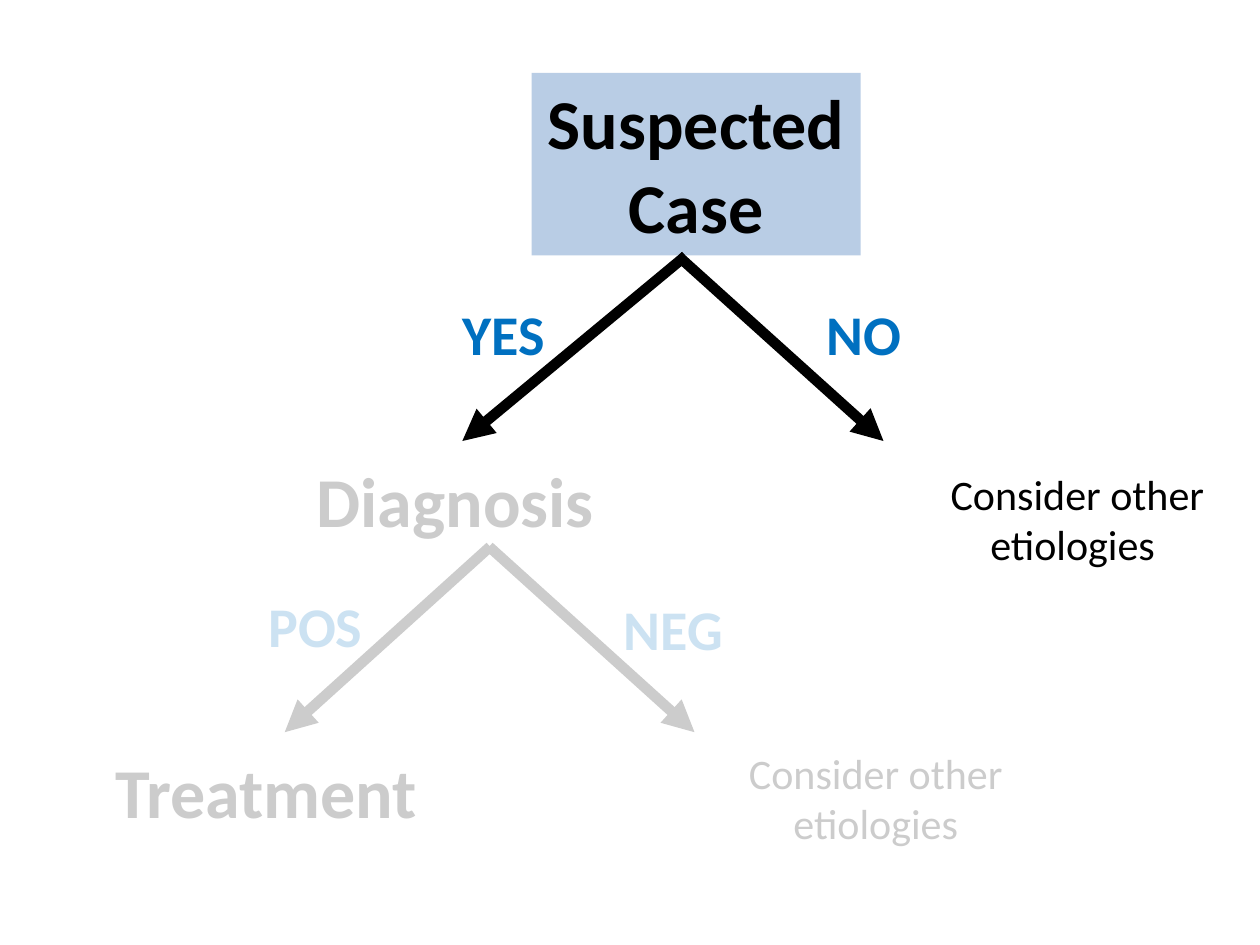
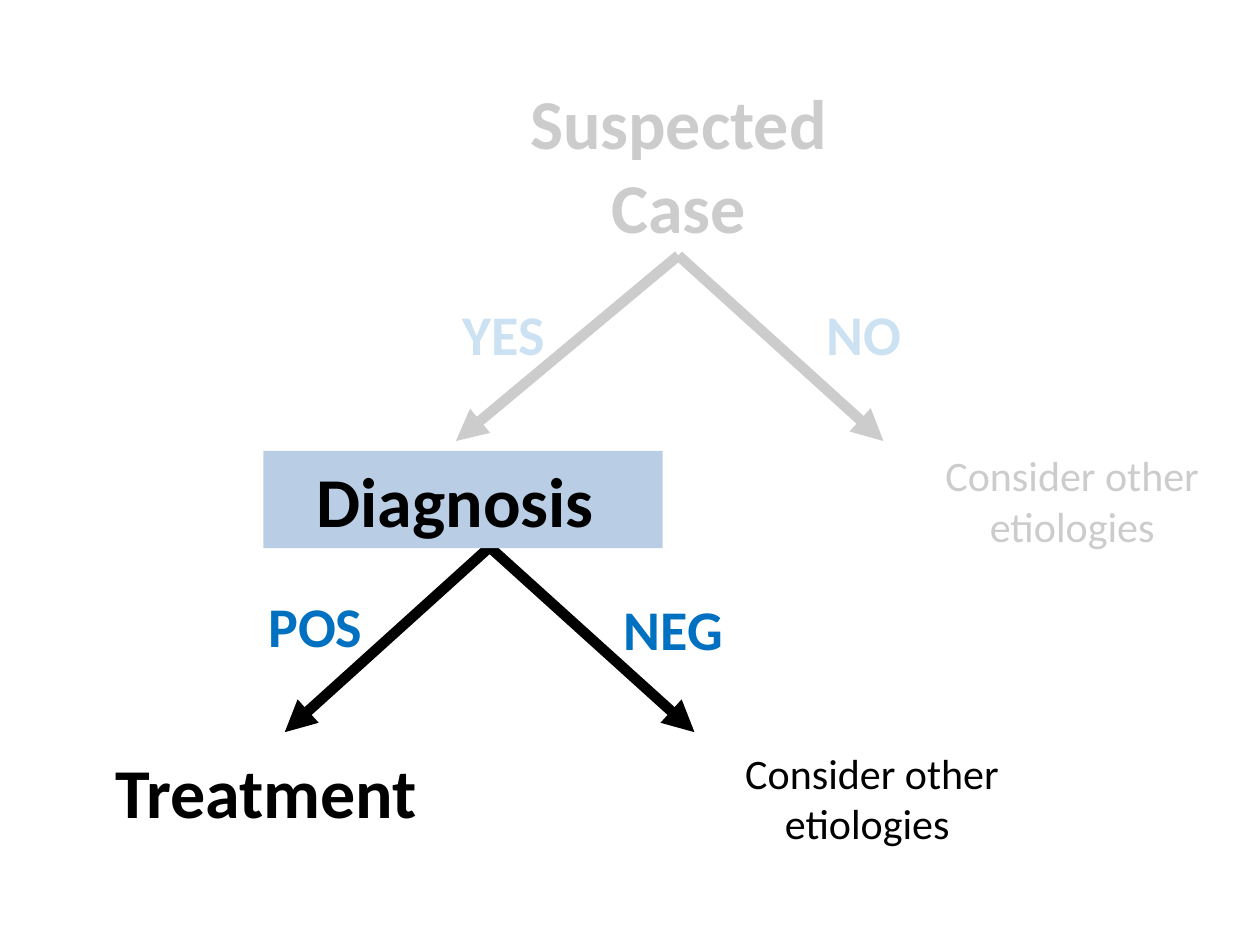
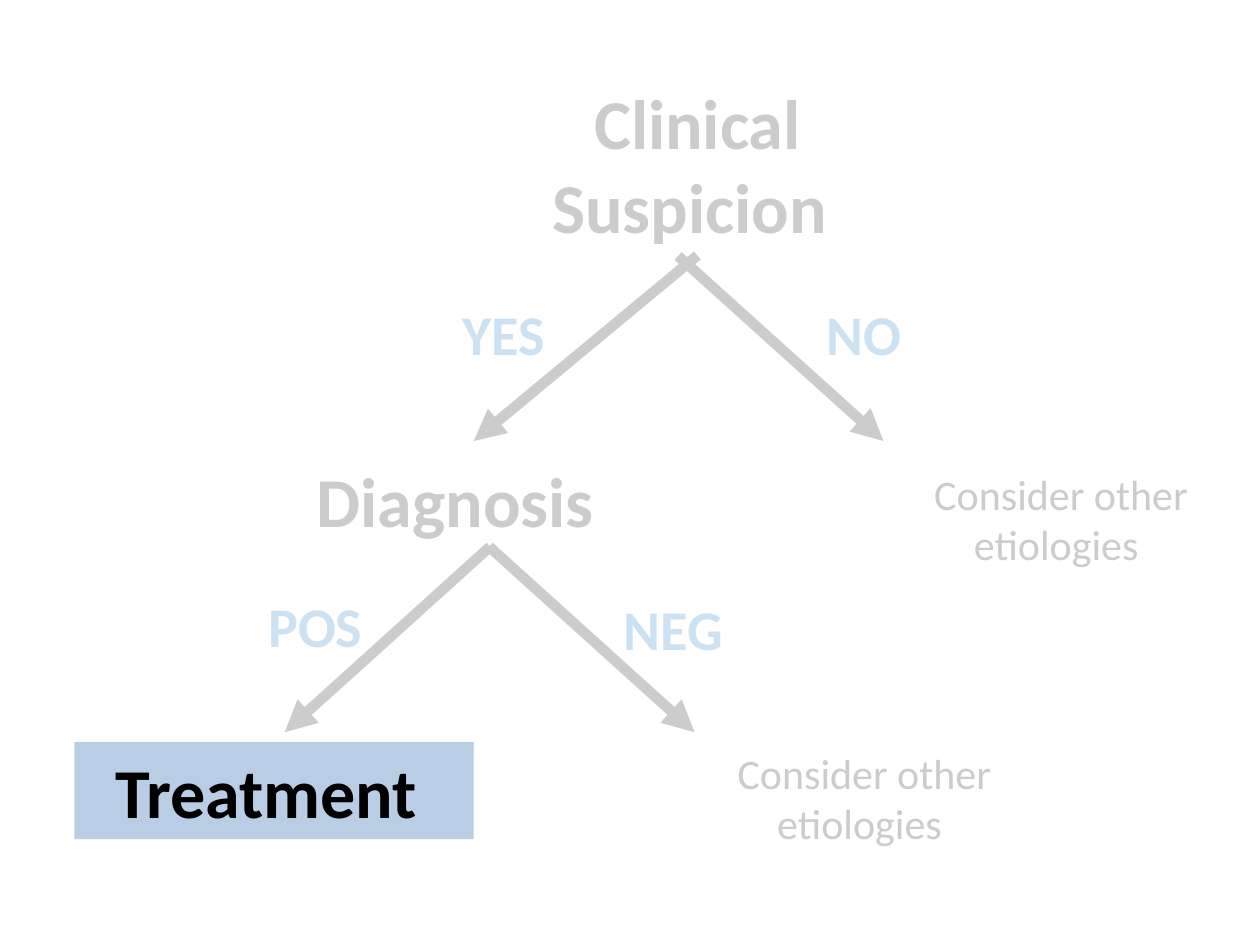
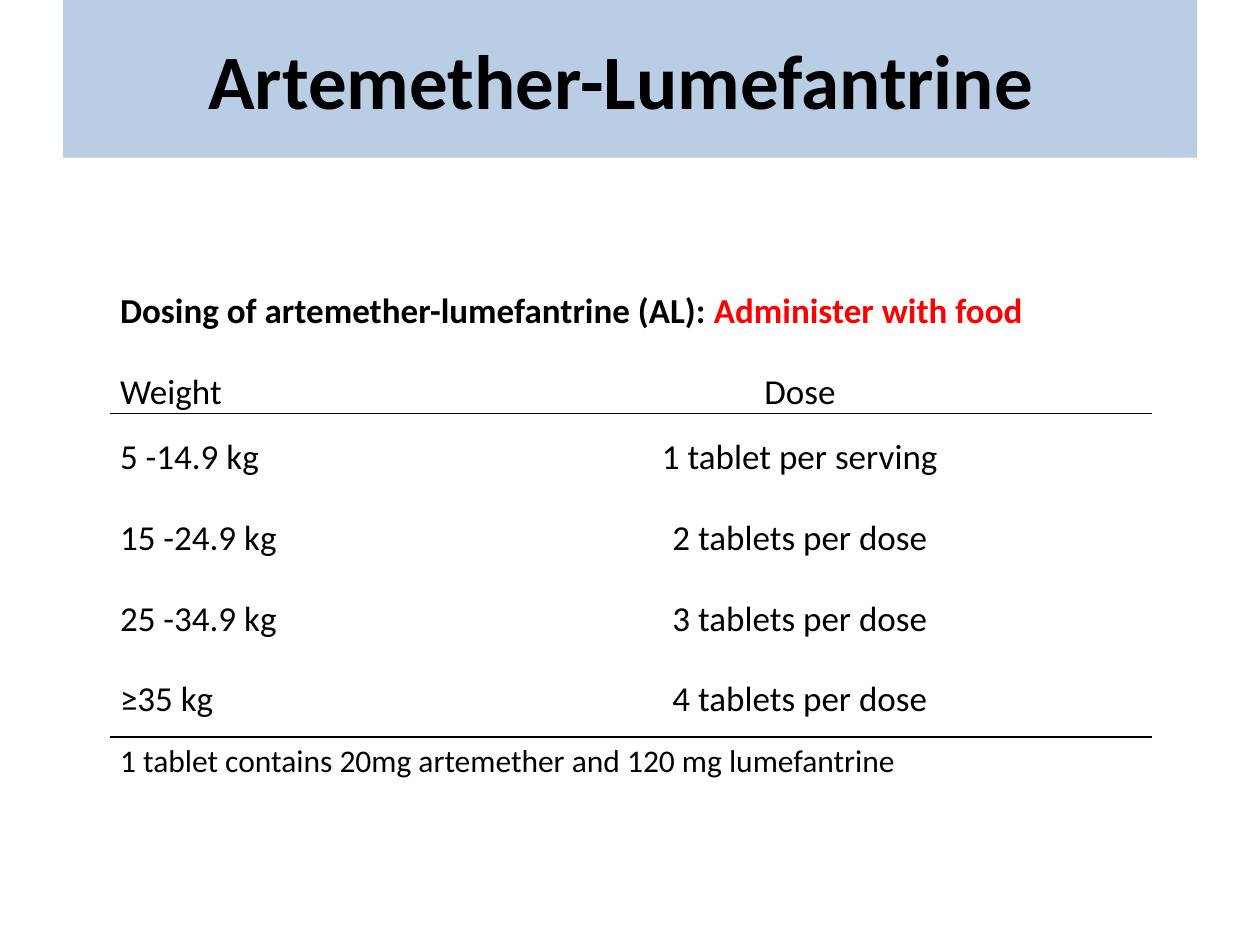
from dataclasses import dataclass

from lxml import etree
from pptx import Presentation
from pptx import util as u
from pptx.dml.color import RGBColor
from pptx.enum import shapes, text
from pptx.oxml import ns

Cm, Pt = u.Cm, u.Pt
COLORS = {"ink": "000000", "band": "B9CDE5", "answer": "0070C0",
          "alert": "FF0000", "veil": "FFFFFF"}
FONT = "Calibri"
VEIL_OPACITY = 80000
TITLE_ONLY, BLANK = 5, 6
CENTER = text.PP_ALIGN.CENTER
MIDDLE, BOTTOM, TOP = (text.MSO_ANCHOR.MIDDLE, text.MSO_ANCHOR.BOTTOM,
                       text.MSO_ANCHOR.TOP)


@dataclass(frozen=True)
class Box:
    """A rectangle in centimetres."""
    left: float
    top: float
    width: float
    height: float

    def lengths(self) -> list:
        return [Cm(v) for v in (self.left, self.top, self.width, self.height)]


@dataclass(frozen=True)
class Label:
    wording: str
    box: Box
    size: int = 40
    bold: bool = True
    color: str = "ink"


@dataclass(frozen=True)
class Arrow:
    x1: float
    y1: float
    x2: float
    y2: float


@dataclass(frozen=True)
class Stage:
    """One step of the decision tree, with the parts that are not in focus veiled."""
    focus: str
    root: Label
    yes_arrow: Arrow
    joined: tuple
    others: tuple
    veils: tuple


def answer(wording: str, left: float, top: float) -> Label:
    return Label(wording, Box(left, top, 2.92, 1.63), 32, color="answer")


def other_causes(left: float, top: float, right: float, ending: str = " ") -> Label:
    box = Box(left, top, round(right - left, 2), 2.31)
    return Label("Consider other etiologies" + ending, box, 24, bold=False)


UPPER_RIGHT, LOWER_RIGHT, LOWER_TOP = 25.63, 21.49, 14.94
DIAGNOSIS = Label("Diagnosis ", Box(5.31, 9.09, 8.05, 1.96))
TREATMENT = Label("Treatment ", Box(1.5, 14.96, 8.05, 1.96))
ANSWERS = (answer("YES", 8.69, 5.92), answer("NO", 15.95, 5.92),
           answer("POS", 4.9, 11.79), answer("NEG", 12.12, 11.86))
NO_ARROW = Arrow(13.67, 5.16, 17.81, 8.89)
RESULT_ARROWS = (Arrow(9.88, 11.02, 5.74, 14.76), Arrow(9.86, 11.02, 14, 14.76))

STAGES = (
    Stage("Suspected Case",
          Label("Suspected Case", Box(10.72, 1.47, 6.63, 3.68)),
          Arrow(13.82, 5.16, 9.32, 8.89), (),
          (other_causes(17.81, 9.32, UPPER_RIGHT),
           other_causes(13.82, LOWER_TOP, LOWER_RIGHT, ending="")),
          (Box(1.07, 9.32, 13.97, 8.26), Box(15.04, 13.94, 8.15, 4.29))),
    Stage("Diagnosis ",
          Label("Suspected Case", Box(10.36, 1.47, 6.63, 3.68)),
          Arrow(13.69, 5.16, 9.19, 8.89), ("yes", "no"),
          (other_causes(17.6, 8.94, UPPER_RIGHT, ending=""),
           other_causes(13.67, LOWER_TOP, LOWER_RIGHT)),
          (Box(2.57, -0.05, 16.31, 9.02), Box(18.34, 8.86, 6.25, 2.82))),
    Stage("Treatment ",
          Label("Clinical Suspicion ", Box(10.72, 1.47, 6.68, 3.68)),
          Arrow(14.07, 5.16, 9.55, 8.89), ("yes",),
          (other_causes(17.15, 9.32, UPPER_RIGHT),
           other_causes(13.36, LOWER_TOP, LOWER_RIGHT)),
          (Box(2.9, 1.52, 21.34, 13.31), Box(14.33, 14.96, 6.93, 3.2))),
)

DOSES = (("Weight", "Dose"),
         ("5 -14.9 kg", "1 tablet per serving"),
         ("15 -24.9 kg", "2 tablets per dose"),
         ("25 -34.9 kg", "3 tablets per dose"),
         ("≥35 kg", "4 tablets per dose"))


def rgb(name: str) -> RGBColor:
    return RGBColor.from_string(COLORS[name])


def put_text(frame, wording: str, *, size: int, bold: bool = False,
             color: str = "ink", align=None, spacing=None) -> None:
    """Append one formatted run to the frame's first paragraph."""
    paragraph = frame.paragraphs[0]
    paragraph.alignment = align
    paragraph.line_spacing = spacing
    run = paragraph.add_run()
    run.text = wording
    run.font.name, run.font.size, run.font.bold = FONT, Pt(size), bold
    run.font.color.rgb = rgb(color)


def fill_solid(shape, color: str) -> None:
    shape.fill.solid()
    shape.fill.fore_color.rgb = rgb(color)


def add_rectangle(slide, box: Box, color: str):
    rectangle = slide.shapes.add_shape(shapes.MSO_SHAPE.RECTANGLE, *box.lengths())
    rectangle.shadow.inherit = False
    fill_solid(rectangle, color)
    rectangle.line.fill.background()
    return rectangle


def add_label(slide, label: Label, focused: bool = False):
    if focused:
        holder = add_rectangle(slide, label.box, "band")
    else:
        holder = slide.shapes.add_textbox(*label.box.lengths())
    frame = holder.text_frame
    frame.word_wrap = True
    frame.auto_size = text.MSO_AUTO_SIZE.SHAPE_TO_FIT_TEXT
    frame.vertical_anchor = TOP
    put_text(frame, label.wording, size=label.size, bold=label.bold,
             color=label.color, align=CENTER)
    return holder


def add_arrow(slide, arrow: Arrow, source=None) -> None:
    ends = [Cm(v) for v in (arrow.x1, arrow.y1, arrow.x2, arrow.y2)]
    connector = slide.shapes.add_connector(shapes.MSO_CONNECTOR.STRAIGHT, *ends)
    connector.line.color.rgb = rgb("ink")
    connector.line.width = Pt(6)
    etree.SubElement(connector.line._get_or_add_ln(), ns.qn("a:tailEnd"),
                     type="triangle")
    etree.SubElement(connector._element.spPr, ns.qn("a:effectLst"))
    if source is not None:
        connector.begin_connect(source, 2)


def add_veil(slide, box: Box) -> None:
    """Fade what lies below with a translucent white rectangle."""
    veil = add_rectangle(slide, box, "veil")
    veil.line.color.rgb = rgb("veil")
    veil.line.width = Pt(2)
    tint = veil._element.spPr.find(ns.qn("a:solidFill"))[0]
    etree.SubElement(tint, ns.qn("a:alpha"), val=str(VEIL_OPACITY))


def add_stage_slide(deck, stage: Stage) -> None:
    slide = deck.slides.add_slide(deck.slide_layouts[BLANK])
    root = add_label(slide, stage.root, stage.root.wording == stage.focus)
    for name, arrow in (("yes", stage.yes_arrow), ("no", NO_ARROW)):
        add_arrow(slide, arrow, root if name in stage.joined else None)
    for arrow in RESULT_ARROWS:
        add_arrow(slide, arrow)
    for label in (*ANSWERS, *stage.others, TREATMENT, DIAGNOSIS):
        add_label(slide, label, label.wording == stage.focus)
    for box in stage.veils:
        add_veil(slide, box)


def format_cell(cell, anchor, rule: str = "") -> None:
    """Clear the cell's fill and draw a rule on its side T or B."""
    cell.vertical_anchor = anchor
    cell.margin_left = cell.margin_right = Cm(0.18)
    cell.margin_top = cell.margin_bottom = 0
    if rule:
        border = etree.SubElement(cell._tc.get_or_add_tcPr(), ns.qn(f"a:ln{rule}"),
                                  w=str(Pt(1)))
        solid = etree.SubElement(border, ns.qn("a:solidFill"))
        etree.SubElement(solid, ns.qn("a:srgbClr"), val=COLORS["ink"])
    cell.fill.background()


def add_dosing_table(slide) -> None:
    row_count = len(DOSES) + 2
    row_height = 1.63
    area = Box(2.24, 5.08, 20.96, row_count * row_height)
    table = slide.shapes.add_table(row_count, 2, *area.lengths()).table
    table.first_row = table.horz_banding = False
    for column, width in zip(table.columns, (6.81, 14.15)):
        column.width = Cm(width)
    for row in table.rows:
        row.height = Cm(row_height)

    last = row_count - 1
    rules = {1: "B", 2: "T", last - 1: "B", last: "T"}
    anchors = {0: BOTTOM, 1: BOTTOM, last: TOP}
    for r in range(row_count):
        for c in range(2):
            format_cell(table.cell(r, c), anchors.get(r, MIDDLE), rules.get(r, ""))
    for r in (0, last):
        table.cell(r, 0).merge(table.cell(r, 1))

    heading = table.cell(0, 0).text_frame
    put_text(heading, "Dosing of artemether-lumefantrine (AL): ", size=20,
             bold=True, spacing=1.15)
    put_text(heading, "Administer with food", size=20, bold=True, color="alert",
             spacing=1.15)
    for r, entries in enumerate(DOSES, start=1):
        for c, (entry, align) in enumerate(zip(entries, (None, CENTER))):
            put_text(table.cell(r, c).text_frame, entry, size=20, align=align,
                     spacing=1.15)
    put_text(table.cell(last, 0).text_frame,
             "1 tablet contains 20mg artemether and 120 mg lumefantrine",
             size=18, spacing=1.15)


def add_dosing_slide(deck) -> None:
    slide = deck.slides.add_slide(deck.slide_layouts[TITLE_ONLY])
    title = slide.shapes.title
    title.left, title.top, title.width, title.height = Box(1.27, 0, 22.86, 3.18).lengths()
    fill_solid(title, "band")
    title.text_frame.vertical_anchor = MIDDLE
    put_text(title.text_frame, "Artemether-Lumefantrine ", size=44, bold=True,
             align=CENTER)
    add_dosing_table(slide)


def main() -> None:
    deck = Presentation()
    deck.slide_width, deck.slide_height = Cm(25.4), Cm(19.05)
    for stage in STAGES:
        add_stage_slide(deck, stage)
    add_dosing_slide(deck)
    deck.save("out.pptx")


if __name__ == "__main__":
    main()
